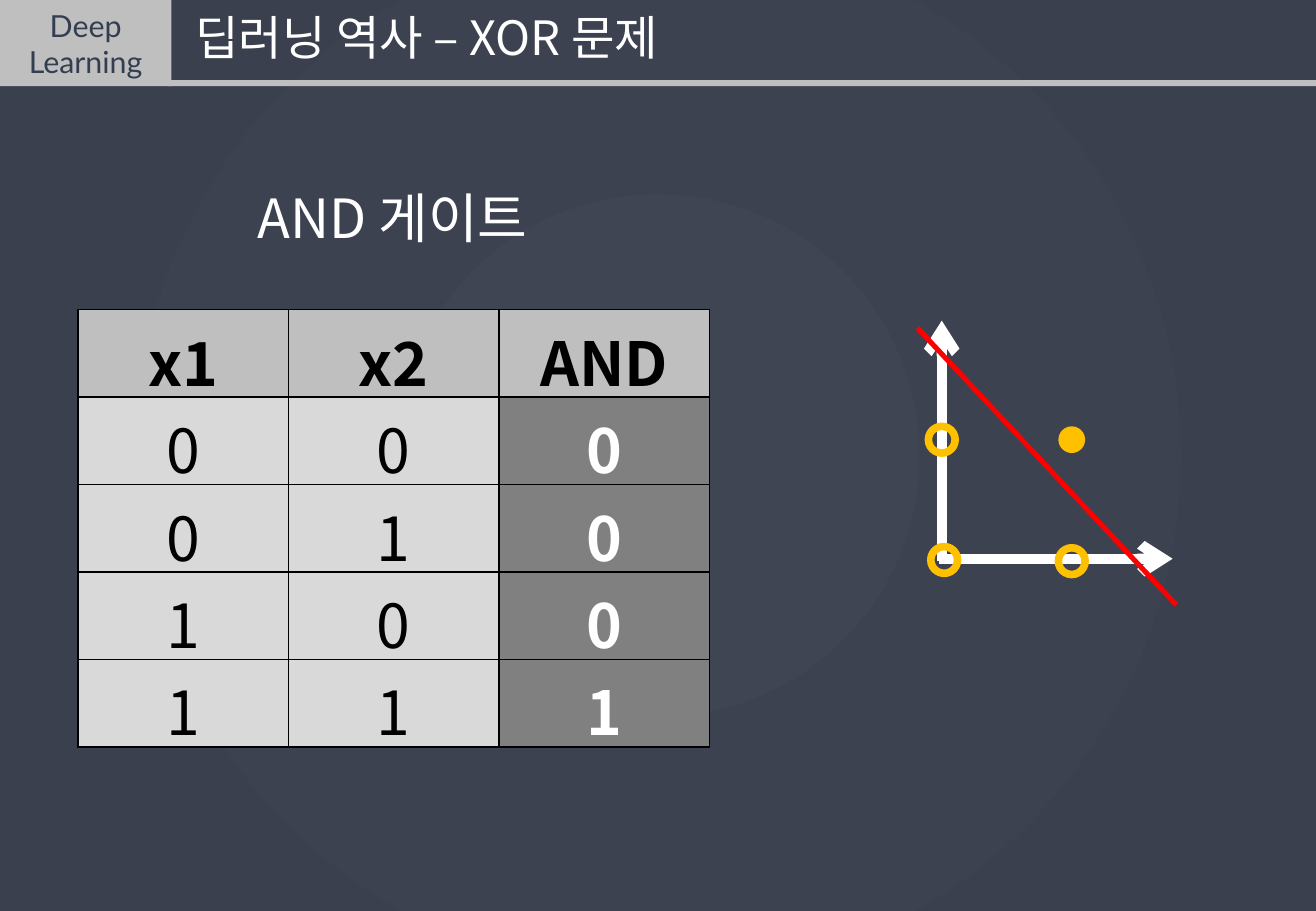
from lxml import etree
from pptx import Presentation
from pptx.dml.color import RGBColor
from pptx.enum import shapes, text
from pptx.oxml import parse_xml
from pptx.oxml.ns import nsdecls, qn
from pptx.util import Inches, Pt

# Content
TITLE = "딥러닝 역사 – XOR 문제"
BADGE = ["Deep", "Learning"]
HEADING = "AND 게이트"
TRUTH_TABLE = [
    ("x1", "x2", "AND"),
    ("0", "0", "0"),
    ("0", "1", "0"),
    ("1", "0", "0"),
    ("1", "1", "1"),
]
AXES = [((7.75, 4.62), (7.75, 2.64)), ((7.73, 4.6), (9.65, 4.6))]
BOUNDARY = ((7.55, 2.7), (9.68, 4.98))
POINTS = [(8.71, 3.51, True), (8.71, 4.51, False),
          (7.66, 4.5, False), (7.64, 3.51, False)]  # left, top, output is 1

THEME = {
    "latin": "Lato", "korean": "Noto Sans CJK KR",
    "white": "FFFFFF", "black": "000000", "navy": "333F50",
    "silver": "BFBFBF", "pale": "D9D9D9", "gray": "808080",
    "amber": "FFC000", "red": "FF0000",
    "glow": "3F4553", "edge": "3A404E",
    "badge_size": 18, "title_size": 28, "heading_size": 32, "cell_size": 36,
}
CENTER = text.PP_ALIGN.CENTER


def color(name):
    return RGBColor.from_string(THEME[name])


def style(para, size, tone, face="korean", align=CENTER, bold=False):
    para.alignment = align
    font = para.font
    font.size, font.bold = Pt(THEME[size]), bold
    font.color.rgb = color(tone)
    font.name = THEME[face]
    if face == "korean":
        latin = font._element.find(qn("a:latin"))
        east = etree.Element(qn("a:ea"), typeface=THEME[face])
        latin.addnext(east)


def add_shape(kind, left, top, width, height, fill=None, line=None):
    shape = page.shapes.add_shape(
        kind, Inches(left), Inches(top), Inches(width), Inches(height))
    shape.shadow.inherit = False
    if fill:
        shape.fill.solid()
        shape.fill.fore_color.rgb = color(fill)
    else:
        shape.fill.background()
    if line:
        shape.line.color.rgb = color(line)
        shape.line.width = Pt(4.5)
    else:
        shape.line.fill.background()
    return shape


def add_label(words, left, top, width, height, size, align=CENTER):
    box = page.shapes.add_textbox(
        Inches(left), Inches(top), Inches(width), Inches(height))
    box.text_frame.word_wrap = True
    para = box.text_frame.paragraphs[0]
    para.text = words
    style(para, size, "white", align=align)
    return para


def add_line(start, end, tone, width, arrow=False):
    line = page.shapes.add_connector(
        shapes.MSO_CONNECTOR.STRAIGHT, *map(Inches, start + end))
    line.line.color.rgb = color(tone)
    line.line.width = Pt(width)
    if arrow:
        etree.SubElement(line.line._get_or_add_ln(), qn("a:tailEnd"), type="arrow")
    etree.SubElement(line._element.spPr, qn("a:effectLst"))


def add_borders(cell):
    properties = cell._tc.get_or_add_tcPr()
    for index, side in enumerate(("lnL", "lnR", "lnT", "lnB")):
        properties.insert(index, parse_xml(
            f'<a:{side} {nsdecls("a")} w="12700"><a:solidFill>'
            f'<a:srgbClr val="{THEME["black"]}"/></a:solidFill></a:{side}>'))


deck = Presentation()
deck.slide_width, deck.slide_height = Inches(10.83), Inches(7.5)
page = deck.slides.add_slide(deck.slide_layouts[6])

# Radial background
backdrop = page.background.fill
backdrop.gradient()
for stop, tone, position in zip(backdrop.gradient_stops, ("glow", "edge"), (0, 0.98)):
    stop.color.rgb = color(tone)
    stop.position = position
linear = next(page.background._cSld.iter(qn("a:lin")))
linear.getparent().replace(linear, parse_xml(
    f'<a:path {nsdecls("a")} path="circle">'
    '<a:fillToRect l="50000" t="50000" r="50000" b="50000"/></a:path>'))

# Header
RECTANGLE = shapes.MSO_SHAPE.RECTANGLE
add_shape(RECTANGLE, 1.38, 0.66, 9.45, 0.05, "silver")
badge = add_shape(RECTANGLE, 0, 0, 1.41, 0.71, "silver").text_frame
badge.text = "\n".join(BADGE)
for para in badge.paragraphs:
    style(para, "badge_size", "navy", "latin")
title = add_label(TITLE, 1.42, 0.02, 9.42, 0.58, "title_size", text.PP_ALIGN.LEFT)
title._p.get_or_add_pPr().set("marL", str(Inches(0.09)))
add_label(HEADING, -0.9, 1.47, 8.26, 0.64, "heading_size")

# Truth table
rows, columns = len(TRUTH_TABLE), len(TRUTH_TABLE[0])
table = page.shapes.add_table(
    rows, columns, Inches(0.64), Inches(2.55), Inches(5.2), Inches(3.6)).table
for r, values in enumerate(TRUTH_TABLE):
    for c, value in enumerate(values):
        header, result = r == 0, c == columns - 1
        cell = table.cell(r, c)
        cell.margin_top, cell.margin_bottom = Inches(0.05), 0
        cell.fill.solid()
        cell.fill.fore_color.rgb = color(
            "silver" if header else "gray" if result else "pale")
        add_borders(cell)
        para = cell.text_frame.paragraphs[0]
        para.text = value
        style(para, "cell_size", "white" if result and not header else "black",
              bold=header or result)

# Plot with decision boundary
for start, end in AXES:
    add_line(start, end, "white", 6, arrow=True)
for left, top, positive in POINTS:
    add_shape(shapes.MSO_SHAPE.OVAL, left, top, 0.22, 0.22,
              "amber" if positive else None, None if positive else "amber")
add_line(*BOUNDARY, "red", 3)

deck.save("out.pptx")
